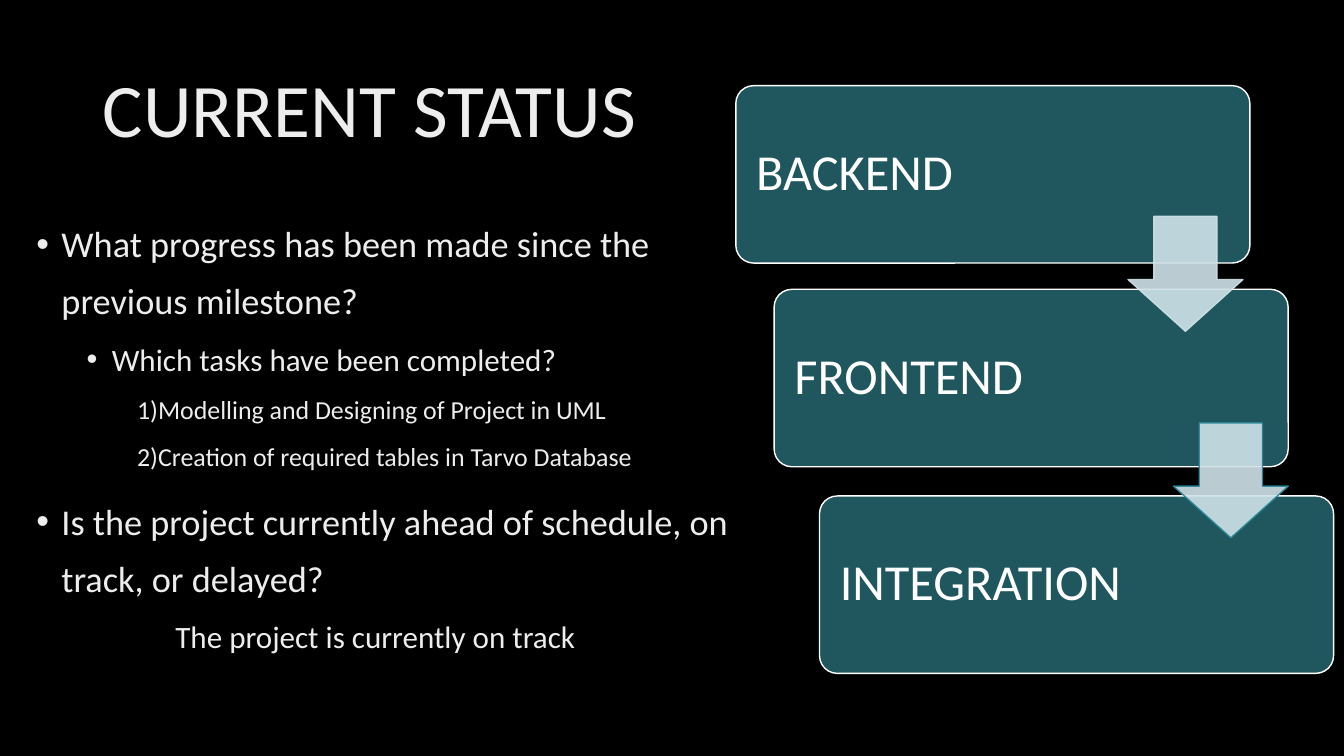
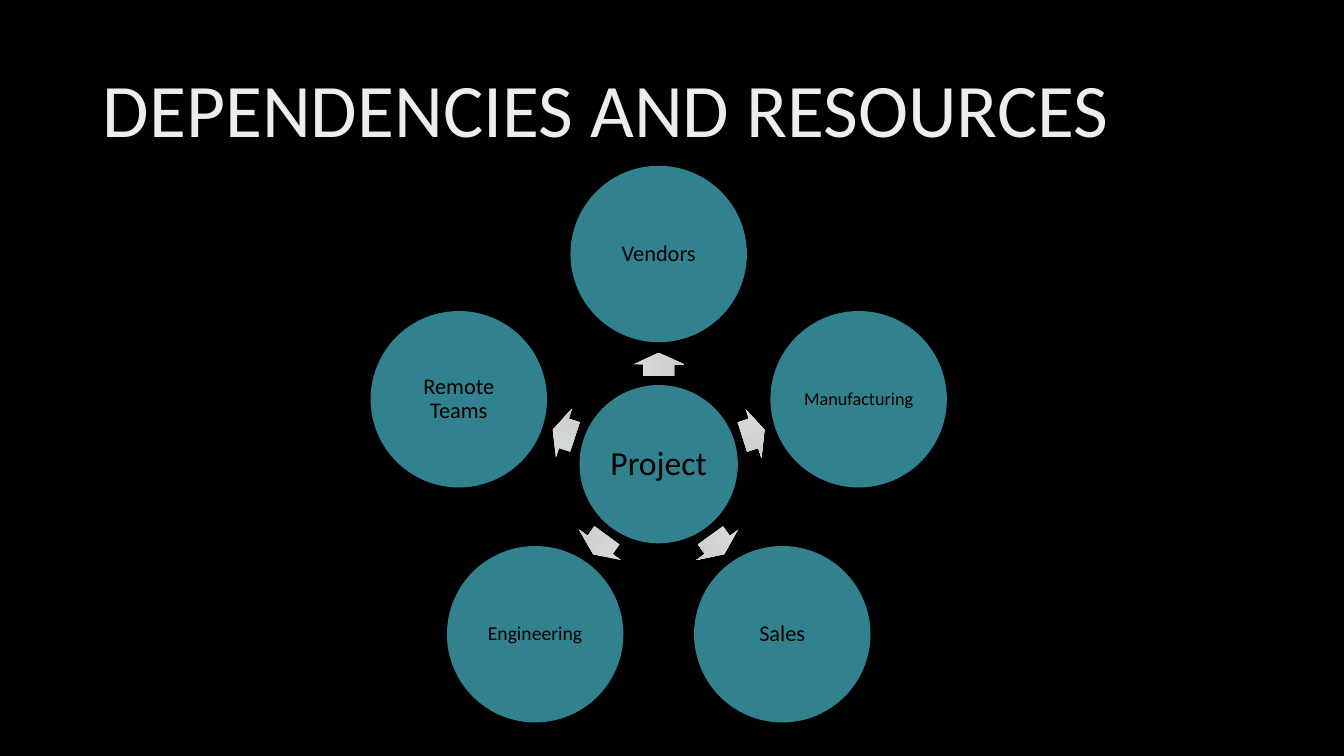
import math

import lxml.etree
import pptx
import pptx.dml.color
import pptx.enum.shapes
import pptx.enum.text
import pptx.oxml.ns
import pptx.util

COLORS = {
    "background": "000000", "heading": "EDEDED", "white": "FFFFFF",
    "step": "20575E", "step_arrow": "CFE3E8", "step_arrow_edge": "268496",
    "circle": "31828E", "circle_text": "000000",
    "spoke_light": "D9DCDA", "spoke_dark": "C9CDCB",
}
FONT = "Calibri"
SHAPE = pptx.enum.shapes.MSO_SHAPE
ALIGN = pptx.enum.text.PP_ALIGN
MIDDLE = pptx.enum.text.MSO_ANCHOR.MIDDLE
qn = pptx.oxml.ns.qn
rgb = {name: pptx.dml.color.RGBColor.from_string(value) for name, value in COLORS.items()}

deck = pptx.Presentation()
deck.slide_width = pptx.util.Inches(13.333)
deck.slide_height = pptx.util.Inches(7.5)
# The grid has 100 columns and 100 rows
COL = deck.slide_width / 100
ROW = deck.slide_height / 100
background = deck.slide_master.background.fill
background.solid()
background.fore_color.rgb = rgb["background"]


def place(item, left, top, width, height):
    """Set the frame of a shape in EMU."""
    item.left, item.top, item.width, item.height = (
        int(length) for length in (left, top, width, height))


def write(paragraph, text, size, color, line_spacing=0.9, align=ALIGN.LEFT):
    paragraph.alignment = align
    paragraph.line_spacing = line_spacing
    run = paragraph.add_run()
    run.text = text
    run.font.name = FONT
    run.font.size = pptx.util.Pt(size)
    run.font.color.rgb = rgb[color]


# Titles, on both slides
slides = []
for layout, heading in ((1, "CURRENT STATUS"), (5, "DEPENDENCIES AND RESOURCES")):
    slide = deck.slides.add_slide(deck.slide_layouts[layout])
    title = slide.shapes.title
    place(title, 6.9 * COL, 5.33 * ROW, 86.25 * COL, 19.33 * ROW)
    title.text_frame.auto_size = pptx.enum.text.MSO_AUTO_SIZE.NONE
    title.text_frame.vertical_anchor = MIDDLE
    write(title.text_frame.paragraphs[0], heading, 54, "heading")
    slides.append(slide)
status, resources = slides

# Status questions: text, level, size, left margin, hanging indent, space before
questions = [
    ("What progress has been made since the previous milestone?", 0, 25.9, 0.25, 0.25, 10),
    ("Which tasks have been completed?", 1, 22.2, 0.75, 0.25, 5),
    ("1)Modelling and Designing of Project in UML", 2, 18.5, 1, 0, 5),
    ("2)Creation of required tables in Tarvo Database", 2, 18.5, 1, 0, 5),
    ("Is the project currently ahead of schedule, on track, or delayed?", 0, 25.9, 0.25, 0.25, 10),
    ("The project is currently on track", 1, 22.2, 1.38, 0, 5),
]
body = status.placeholders[1]
place(body, 1.95 * COL, 26.93 * ROW, 56.6 * COL, 63.47 * ROW)
body.text_frame.auto_size = pptx.enum.text.MSO_AUTO_SIZE.NONE
for number, (text, level, size, margin, hanging, before) in enumerate(questions):
    paragraph = body.text_frame.add_paragraph() if number else body.text_frame.paragraphs[0]
    paragraph.level = level
    paragraph.space_before = pptx.util.Pt(before)
    paragraph.space_after = pptx.util.Pt(0)
    write(paragraph, text, size, "heading", line_spacing=1.3)
    properties = paragraph._p.get_or_add_pPr()
    properties.set("marL", str(pptx.util.Inches(margin)))
    properties.set("indent", str(-pptx.util.Inches(hanging)))
    if hanging:
        lxml.etree.SubElement(properties, qn("a:buChar")).set("char", "•")
    else:
        lxml.etree.SubElement(properties, qn("a:buNone"))

# Staircase of steps: name, left column, top row
steps = [("BACKEND", 54.75, 11.33), ("FRONTEND", 57.6, 38.27), ("INTEGRATION", 60.98, 65.6)]
for name, left, top in steps:
    step = status.shapes.add_shape(SHAPE.ROUNDED_RECTANGLE, 0, 0, 0, 0)
    place(step, left * COL, top * ROW, 38.25 * COL, 23.47 * ROW)
    step.adjustments[0] = 0.1
    step.shadow.inherit = False
    step.fill.solid()
    step.fill.fore_color.rgb = rgb["step"]
    step.line.color.rgb = rgb["white"]
    step.line.width = pptx.util.Pt(1)
    step.text_frame.margin_left = pptx.util.Inches(0.15)
    step.text_frame.vertical_anchor = MIDDLE
    write(step.text_frame.paragraphs[0], name, 36, "white")

# Each arrow drops into the step it leads to
for (name, left, top), edge in zip(steps[1:], ("step_arrow", "step_arrow_edge")):
    drop = status.shapes.add_shape(SHAPE.DOWN_ARROW, 0, 0, 0, 0)
    place(drop, (left + 26.33) * COL, (top - 9.65) * ROW, 8.55 * COL, 8.55 * COL)
    drop.adjustments[0], drop.adjustments[1] = 0.55, 0.45
    drop.shadow.inherit = False
    drop.fill.solid()
    drop.fill.fore_color.rgb = rgb["step_arrow"]
    drop.line.color.rgb = rgb[edge]
    drop.line.width = pptx.util.Pt(1)
    for color in drop._element.spPr.iter(qn("a:srgbClr")):
        lxml.etree.SubElement(color, qn("a:alpha")).set("val", "90000")

# Hub and satellites; distances from the hub are in columns
HUB_X, HUB_Y = 49.01 * COL, 61.4 * ROW
ORBIT, SPOKE_ORBIT = 15.64 * COL, 7.42 * COL
SPOKE_LENGTH, SPOKE_WIDTH = 1.73 * COL, 3.83 * COL
satellites = [("Vendors", 16), ("Manufacturing", 13), ("Sales", 16),
              ("Engineering", 14), ("Remote Teams", 16)]
circles = [("Project", 24, HUB_X, HUB_Y, 11.78 * COL)]
for number, (name, size) in enumerate(satellites):
    degrees = 360 * number / len(satellites) - 90
    across, down = math.cos(math.radians(degrees)), math.sin(math.radians(degrees))
    circles.append((name, size, HUB_X + ORBIT * across, HUB_Y + ORBIT * down, 13.13 * COL))
    spoke = resources.shapes.add_shape(SHAPE.RIGHT_ARROW, 0, 0, 0, 0)
    place(spoke, HUB_X + SPOKE_ORBIT * across - SPOKE_LENGTH / 2,
          HUB_Y + SPOKE_ORBIT * down - SPOKE_WIDTH / 2, SPOKE_LENGTH, SPOKE_WIDTH)
    spoke.rotation = degrees % 360
    spoke.adjustments[0], spoke.adjustments[1] = 0.6, 0.5
    spoke.shadow.inherit = False
    spoke.line.fill.background()
    spoke.fill.gradient()
    spoke.fill.gradient_angle = 270
    for stop, shade in zip(spoke.fill.gradient_stops, ("spoke_light", "spoke_dark")):
        stop.color.rgb = rgb[shade]

for name, size, center_x, center_y, diameter in circles:
    circle = resources.shapes.add_shape(SHAPE.OVAL, 0, 0, 0, 0)
    place(circle, center_x - diameter / 2, center_y - diameter / 2, diameter, diameter)
    circle.shadow.inherit = False
    circle.fill.solid()
    circle.fill.fore_color.rgb = rgb["circle"]
    circle.line.fill.background()
    frame = circle.text_frame
    frame.margin_left = frame.margin_right = pptx.util.Inches(0.02)
    frame.margin_top = frame.margin_bottom = pptx.util.Inches(0.02)
    frame.vertical_anchor = MIDDLE
    write(frame.paragraphs[0], name, size, "circle_text", align=ALIGN.CENTER)

deck.save("out.pptx")
